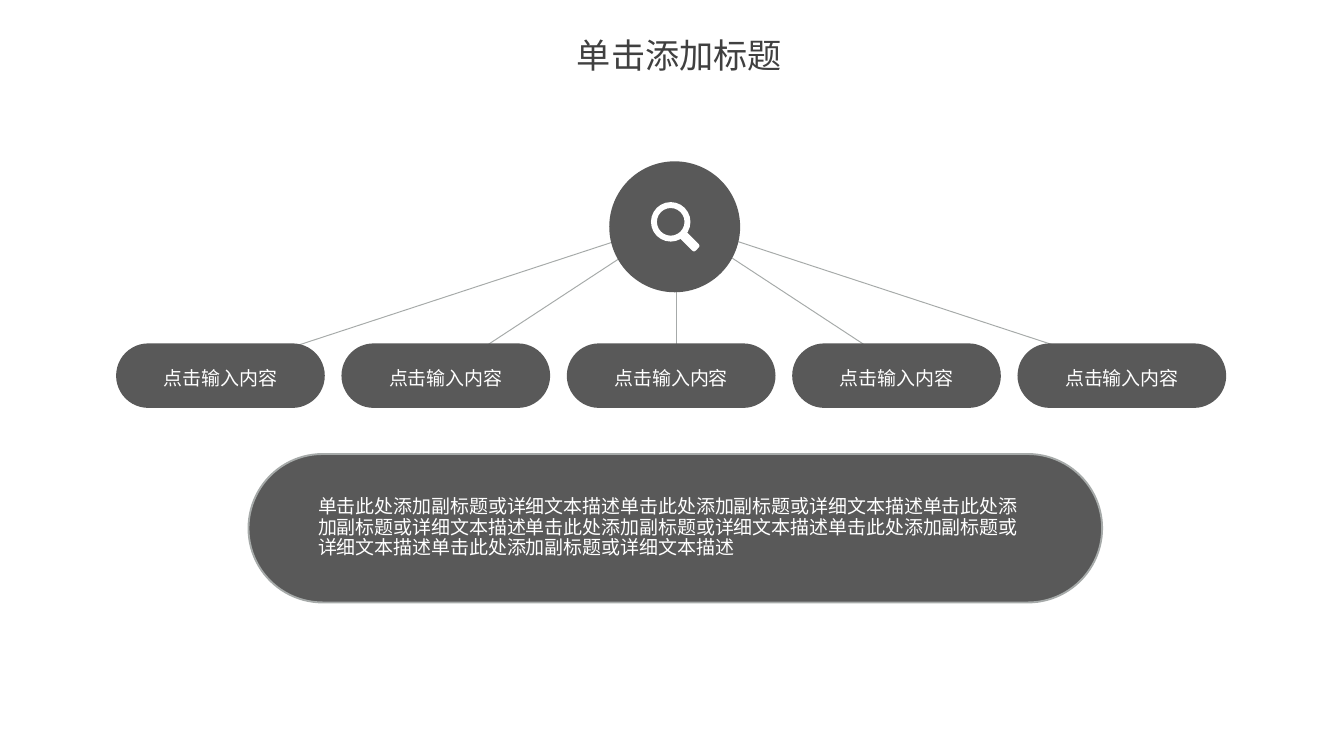
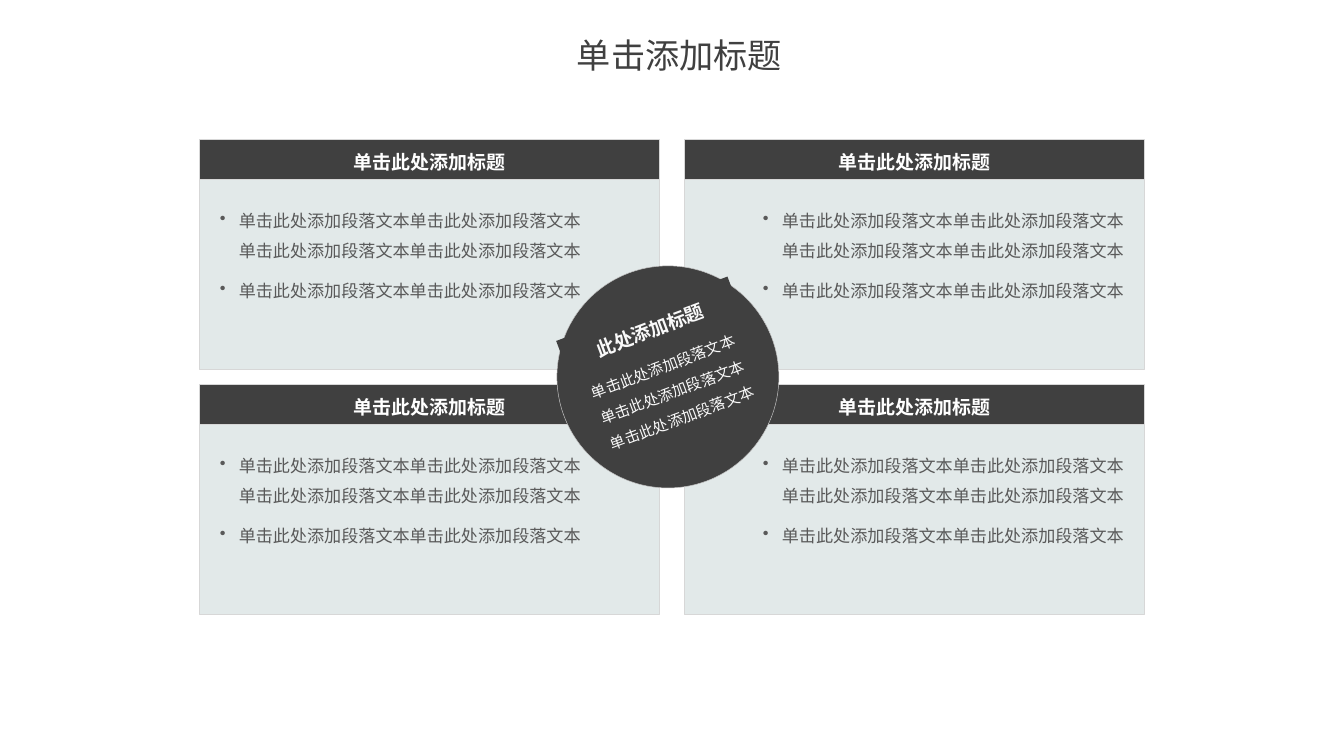
from lxml.etree import SubElement
from pptx import Presentation
from pptx.dml.color import RGBColor
from pptx.enum.shapes import MSO_CONNECTOR, MSO_SHAPE as Preset
from pptx.enum.text import MSO_ANCHOR as Anchor, PP_ALIGN as Align
from pptx.oxml.ns import qn
from pptx.util import Pt

FONT = "Noto Sans CJK SC"
DARK, GREY, PALE, WHITE = "404040", "595959", "E2E9E9", "FFFFFF"
RULE, BORDER, RING, OFF_WHITE = "A6AAA9", "D7D7D7", "C5C5C5", "F9F9F9"


def color(value):
    return RGBColor.from_string(value)


class Deck:
    """Hold the shared style and the slide being built."""

    def __init__(self, width, height):
        self.presentation = Presentation()
        self.presentation.slide_width = Pt(width)
        self.presentation.slide_height = Pt(height)
        self.slide = None

    def new_slide(self, title):
        layout = self.presentation.slide_layouts[6]
        self.slide = self.presentation.slides.add_slide(layout)
        box = self.slide.shapes.add_textbox(Pt(303.8), Pt(18), Pt(108.7), Pt(21.6))
        self.add_text(box, [title], 18, DARK, wrap=False)

    def shape(self, preset, left, top, width, height, fill,
              line=None, line_width=0.25, rotation=0, adjust=None):
        shape = self.slide.shapes.add_shape(
            preset, Pt(left), Pt(top), Pt(width), Pt(height))
        shape.shadow.inherit = False
        shape.fill.solid()
        shape.fill.fore_color.rgb = color(fill)
        if line:
            shape.line.color.rgb = color(line)
            shape.line.width = Pt(line_width)
        else:
            shape.line.fill.background()
        shape.rotation = rotation
        if adjust is not None:
            shape.adjustments[0] = adjust
        return shape

    def line(self, start, end):
        connector = self.slide.shapes.add_connector(
            MSO_CONNECTOR.STRAIGHT, *(Pt(value) for value in start + end))
        connector.line.color.rgb = color(RULE)
        connector.line.width = Pt(0.5)
        SubElement(connector._element.spPr, qn("a:effectLst"))

    def add_text(self, shape, texts, size, ink, bold=False, align=Align.CENTER,
                 anchor=Anchor.MIDDLE, insets=(0, 0, 0, 0), spacing=1.0,
                 bullet_indent=0, gap=0, wrap=True):
        frame = shape.text_frame
        frame.word_wrap = wrap
        frame.vertical_anchor = anchor
        (frame.margin_left, frame.margin_top,
         frame.margin_right, frame.margin_bottom) = (Pt(inset) for inset in insets)
        for index, text in enumerate(texts):
            paragraph = frame.add_paragraph() if index else frame.paragraphs[0]
            if bullet_indent:
                self.bullet(paragraph, bullet_indent)
            paragraph.alignment = align
            paragraph.line_spacing = spacing
            paragraph.space_before = Pt(gap if index else 0)
            run = paragraph.add_run()
            run.text = text
            run.font.name = FONT
            run.font.size = Pt(size)
            run.font.bold = bold
            run.font.color.rgb = color(ink)
            SubElement(run._r.get_or_add_rPr(), qn("a:ea")).set("typeface", FONT)

    def bullet(self, paragraph, indent):
        properties = paragraph._p.get_or_add_pPr()
        properties.set("marL", str(Pt(indent)))
        properties.set("indent", str(-Pt(indent)))
        SubElement(properties, qn("a:buChar")).set("char", "•")

    def panel(self, left, top, insets):
        width, header_height = 242.7, 20.9
        header = self.shape(Preset.FLOWCHART_PROCESS, left, top, width,
                            header_height, DARK, BORDER)
        self.add_text(header, ["单击此处添加标题"], 10, WHITE, bold=True,
                      insets=(7.2, 3.6, 7.2, 3.6), spacing=1.2)
        body = self.shape(Preset.RECTANGLE, left, top + header_height, width,
                          100, PALE, BORDER)
        sentence = "单击此处添加段落文本"
        self.add_text(body, [sentence * 4, sentence * 2], 9, GREY, align=Align.LEFT,
                      anchor=Anchor.TOP, insets=insets, spacing=1.5,
                      bullet_indent=10, gap=4.4)

    def tilted_text(self, left, top, height, text, size, bold, spacing):
        shape = self.shape(Preset.RECTANGLE, left, top, 96.5, height, DARK,
                           rotation=339.4)
        self.add_text(shape, [text], size, OFF_WHITE, bold=bold, anchor=Anchor.TOP,
                      insets=(7.2, 3.6, 7.2, 3.6), spacing=spacing)


def build_hub_slide(deck):
    deck.new_slide("单击添加标题")
    hub_x, hub_y = 356.4, 116.6
    for step in range(-2, 3):
        deck.line((hub_x, hub_y), (hub_x + 120.4 * step, 195.5))
    for index in range(5):
        pill = deck.shape(Preset.ROUNDED_RECTANGLE, 61.2 + 118.8 * index, 180.9,
                          110, 34, GREY, adjust=0.5)
        deck.add_text(pill, ["点击输入内容"], 10, WHITE, spacing=1.2)
    summary = deck.shape(Preset.ROUNDED_RECTANGLE, 131, 239.2, 450, 78.2, GREY,
                         RULE, 1, adjust=0.5)
    deck.add_text(summary, ["单击此处添加副标题或详细文本描述" * 6], 10, WHITE,
                  align=Align.LEFT, insets=(25.2, 0, 29.5, 0), spacing=0.9)
    deck.shape(Preset.OVAL, 321.2, 85, 69, 69, GREY)
    deck.shape(Preset.DONUT, 343.2, 106.5, 20.8, 20.8, WHITE, adjust=0.15)
    deck.shape(Preset.ROUNDED_RECTANGLE, 357.3, 124.6, 12, 4.8, WHITE,
               rotation=45, adjust=0.25)


def build_panel_slide(deck):
    deck.new_slide("单击添加标题")
    near, far = 10.8, 41.5
    columns = [(105.1, (near, 10.8, far, 3.6)), (360.7, (far, 10.8, near, 3.6))]
    for top in (73.5, 202.6):
        for left, insets in columns:
            deck.panel(left, top, insets)
    deck.shape(Preset.OVAL, 293.6, 140.1, 117, 117, DARK, RING)
    deck.tilted_text(293.8, 162, 20.9, "此处添加标题", 10, True, 1.2)
    deck.tilted_text(305.3, 179.3, 49, "单击此处添加段落文本" * 3, 8, False, 1.5)


def main():
    deck = Deck(708.5, 396.7)
    build_hub_slide(deck)
    build_panel_slide(deck)
    deck.presentation.save("out.pptx")


if __name__ == "__main__":
    main()
